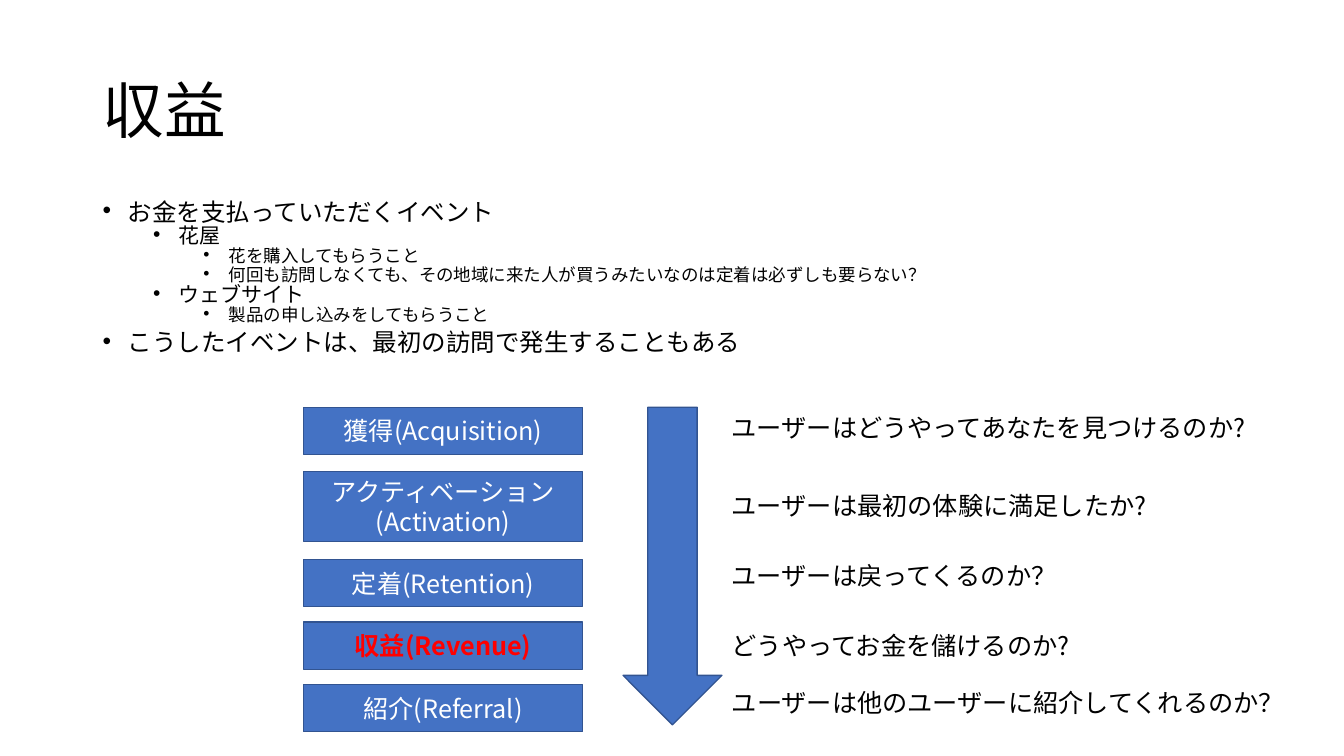
import pptx
import pptx.dml.color
import pptx.enum.shapes
import pptx.enum.text
import pptx.oxml.ns
import pptx.util
from lxml import etree

FONT = "Noto Sans CJK JP"
PX = 9144
BLUE, EDGE, WHITE, BLACK, RED = "4472C4", "325491", "FFFFFF", "000000", "FF0000"
SHAPES = pptx.enum.shapes.MSO_SHAPE
ALIGN = pptx.enum.text.PP_ALIGN
ANCHOR = pptx.enum.text.MSO_ANCHOR

BULLET_SIZES = [17.5, 15, 12.5]
BULLET_GAPS = [9, 4, 4]
BULLETS = [
    (0, "お金を支払っていただくイベント"),
    (1, "花屋"),
    (2, "花を購入してもらうこと"),
    (2, "何回も訪問しなくても、その地域に来た人が買うみたいなのは定着は必ずしも要らない？"),
    (1, "ウェブサイト"),
    (2, "製品の申し込みをしてもらうこと"),
    (0, "こうしたイベントは、最初の訪問で発生することもある"),
]
STAGES = [
    (404, 47, "獲得(Acquisition)"),
    (468, 69, "アクティベーション(Activation)"),
    (555, 47, "定着(Retention)"),
    (617, 47, "収益(Revenue)"),
    (679, 47, "紹介(Referral)"),
]
CURRENT_STAGE = "収益(Revenue)"
QUESTIONS = [
    (404, 553, "ユーザーはどうやってあなたを見つけるのか?"),
    (482, 553, "ユーザーは最初の体験に満足したか?"),
    (551, 553, "ユーザーは戻ってくるのか？"),
    (620, 553, "どうやってお金を儲けるのか?"),
    (677, 601, "ユーザーは他のユーザーに紹介してくれるのか？"),
]


def color(value):
    return pptx.dml.color.RGBColor.from_string(value)


def place(*lengths):
    return [pptx.util.Emu(length * PX) for length in lengths]


def write(para, text, size=18, ink=BLACK, bold=False, align=ALIGN.LEFT, spacing=None):
    para.alignment = align
    if spacing:
        para.line_spacing = spacing
    span = para.add_run()
    span.text = text
    span.font.size = pptx.util.Pt(size)
    span.font.name = FONT
    span.font.bold = bold
    span.font.color.rgb = color(ink)
    east_asian = etree.SubElement(span.font._element, pptx.oxml.ns.qn("a:ea"))
    east_asian.set("typeface", FONT)


def add_frame(page, *lengths, anchor=ANCHOR.TOP):
    frame = page.shapes.add_textbox(*place(*lengths)).text_frame
    frame.word_wrap = True
    frame.vertical_anchor = anchor
    return frame


def add_block(page, kind, *lengths):
    block = page.shapes.add_shape(kind, *place(*lengths))
    block.shadow.inherit = False
    block.fill.solid()
    block.fill.fore_color.rgb = color(BLUE)
    block.line.color.rgb = color(EDGE)
    block.line.width = pptx.util.Pt(1)
    block.text_frame.word_wrap = True
    block.text_frame.vertical_anchor = ANCHOR.MIDDLE
    return block


def add_bullets(page, items, *lengths):
    frame = add_frame(page, *lengths)
    for number, (level, text) in enumerate(items):
        para = frame.add_paragraph() if number else frame.paragraphs[0]
        para.level = level
        para.space_before = pptx.util.Pt(BULLET_GAPS[level])
        write(para, text, size=BULLET_SIZES[level], spacing=0.63)
        properties = para._p.get_or_add_pPr()
        properties.set("marL", str((25 + 50 * level) * PX))
        properties.set("indent", str(-25 * PX))
        face = etree.SubElement(properties, pptx.oxml.ns.qn("a:buFont"))
        face.set("typeface", "Arial")
        mark = etree.SubElement(properties, pptx.oxml.ns.qn("a:buChar"))
        mark.set("char", "•")


def main():
    deck = pptx.Presentation()
    deck.slide_width, deck.slide_height = place(1333, 750)
    page = deck.slides.add_slide(deck.slide_layouts[6])

    title = add_frame(page, 92, 40, 1150, 145, anchor=ANCHOR.MIDDLE)
    write(title.paragraphs[0], "収益", size=44, spacing=0.9)
    add_bullets(page, BULLETS, 92, 200, 1150, 185)

    for top, height, label in STAGES:
        stage = add_block(page, SHAPES.RECTANGLE, 301, top, 277, height)
        current = label == CURRENT_STAGE
        write(stage.text_frame.paragraphs[0], label, ink=RED if current else WHITE,
              bold=current, align=ALIGN.CENTER)

    add_block(page, SHAPES.DOWN_ARROW, 618, 404, 98, 315)

    for top, width, question in QUESTIONS:
        write(add_frame(page, 716, top, width, 40).paragraphs[0], question)

    deck.save("out.pptx")


if __name__ == "__main__":
    main()
